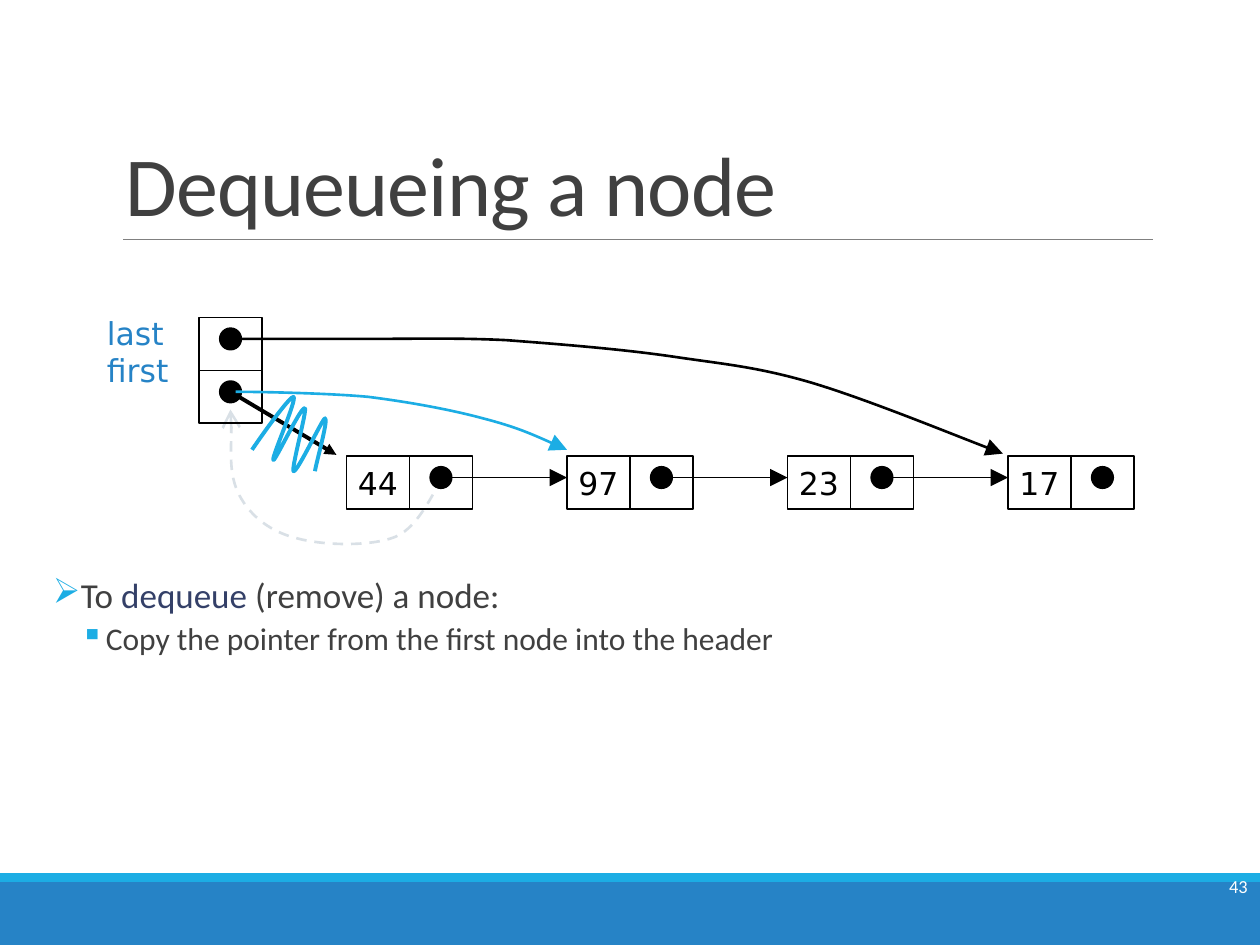
from dataclasses import dataclass
from typing import Optional

import pptx
import pptx.dml.color
import pptx.enum.dml
import pptx.enum.shapes
import pptx.enum.text
import pptx.oxml
import pptx.oxml.ns
import pptx.util

RGB = pptx.dml.color.RGBColor
SHAPE = pptx.enum.shapes.MSO_SHAPE
ALIGN = pptx.enum.text.PP_ALIGN
ANCHOR = pptx.enum.text.MSO_ANCHOR
qn = pptx.oxml.ns.qn

BLUE = RGB(0x26, 0x83, 0xC6)
SKY = RGB(0x1C, 0xAD, 0xE4)
GREY = RGB(0x80, 0x80, 0x80)
PALE = RGB(0xD9, 0xE0, 0xE6)
INK = RGB(0x40, 0x40, 0x40)
NAVY = RGB(0x34, 0x40, 0x68)
BLACK = RGB(0, 0, 0)
WHITE = RGB(0xFF, 0xFF, 0xFF)

COLUMNS = 100
CELL = pptx.util.Inches(10) // COLUMNS
BOX_W, BOX_H, DOT = 5, 4.2, 1.7
NODE_LEFT, NODE_TOP, NODE_PITCH = 27.5, 36.2, 17.5
POINTER_Y = 37.9
HEADER_LEFT, HEADER_TOP = 15.8, 25.2


@dataclass(frozen=True)
class Curve:
    points: tuple
    color: RGB
    width: float
    arrow: Optional[str] = None
    dashed: bool = False


@dataclass(frozen=True)
class Bullet:
    char: str
    margin: float
    indent: float
    before: float
    after: float
    size: float
    runs: tuple


RETURN_PATH = Curve(
    ((35.1, 38), (34.5, 38.8), (33.3, 41.8), (31.4, 42.6), (29.4, 43.4), (25.6, 43.3),
     (23.5, 42.7), (21.5, 42.2), (19.9, 41), (19, 39.3), (18.1, 37.6), (18.5, 33.9),
     (18.3, 32.5)), PALE, 1.5, "arrow", True)
LAST_PATH = Curve(
    ((18.3, 26.9), (21.5, 26.9), (25.5, 26.9), (29.2, 26.9), (32.8, 26.9), (36.2, 26.8),
     (40.2, 27), (44.2, 27.3), (49.3, 27.7), (53.4, 28.3), (57.4, 28.9), (60.1, 29.1),
     (64.5, 30.4), (68.8, 31.7), (76.4, 34.8), (79.6, 36)), BLACK, 1.5, "triangle")
NEW_FIRST_PATH = Curve(
    ((18.7, 31.1), (20.5, 31.1), (25.9, 31.2), (29.2, 31.5), (32.4, 31.9), (35.7, 32.5),
     (38.3, 33.2), (41, 33.9), (43, 34.8), (45, 35.7)), SKY, 1.5, "triangle")
SCRIBBLE = Curve(
    ((20, 35.7), (21.5, 33.5), (23.1, 31.4), (23.3, 31.5), (23.6, 31.7), (21.5, 36.4),
     (21.7, 36.5), (21.8, 36.7), (23.9, 32.2), (24.2, 32.4), (24.4, 32.5), (23.1, 37.2),
     (23.3, 37.4), (23.6, 37.5), (25.6, 33.2), (25.8, 33.2), (26.1, 33.2), (25.1, 36.7),
     (25, 37.4)), SKY, 2.25)
BULLETS = (
    Bullet("➢", 1, -1, 0, 2, 20,
           (("To ", INK), ("dequeue", NAVY), (" (remove) a node:", INK))),
    Bullet("▪", 4.2, -2, 2, 4, 18,
           (("Copy the pointer from the first node into the header", INK),)),
)


def cells(*values: float) -> list:
    return [pptx.util.Emu(round(v * CELL)) for v in values]


def apply(target, values: dict) -> None:
    for name, value in values.items():
        setattr(target, name, value)


def add_run(p, text: str, size: float, color: RGB, name: str = "Calibri"):
    r = p.add_run()
    r.text = text
    apply(r.font, {"size": pptx.util.Pt(size), "name": name})
    r.font.color.rgb = color
    return r


def style_line(s, color: RGB, width: float, arrow: Optional[str] = None,
               size: str = "lg", dashed: bool = False) -> None:
    s.line.color.rgb = color
    s.line.width = pptx.util.Pt(width)
    if dashed:
        s.line.dash_style = pptx.enum.dml.MSO_LINE.DASH
    if arrow:
        ln = s._element.spPr.find(qn("a:ln"))
        end = ln.makeelement(qn("a:tailEnd"), {"type": arrow, "w": size, "len": size})
        ln.append(end)


def add_block(slide, kind, box: tuple, fill: Optional[RGB] = None,
              line: Optional[RGB] = None):
    s = slide.shapes.add_shape(kind, *cells(*box))
    s.shadow.inherit = False
    if fill is None:
        s.fill.background()
    else:
        s.fill.solid()
        s.fill.fore_color.rgb = fill
    if line is None:
        s.line.fill.background()
    else:
        style_line(s, line, 1)
    return s


def add_box(slide, left: float, top: float):
    return add_block(slide, SHAPE.RECTANGLE, (left, top, BOX_W, BOX_H), line=BLACK)


def add_dot(slide, x: float, y: float) -> None:
    add_block(slide, SHAPE.OVAL, (x - DOT / 2, y - DOT / 2, DOT, DOT), BLACK, BLACK)


def add_line(slide, ends: tuple, color: RGB, width: float,
             arrow: Optional[str] = None, size: str = "lg") -> None:
    straight = pptx.enum.shapes.MSO_CONNECTOR.STRAIGHT
    s = slide.shapes.add_connector(straight, *cells(*ends))
    style_line(s, color, width, arrow, size)
    s._element.spPr.append(s._element.makeelement(qn("a:effectLst"), {}))


def add_curve(slide, curve: Curve) -> None:
    start, *rest = [cells(*pt) for pt in curve.points]
    builder = slide.shapes.build_freeform(*start)
    builder.add_line_segments(rest, close=False)
    s = builder.convert_to_shape()
    s.shadow.inherit = False
    s.fill.background()
    style_line(s, curve.color, curve.width, curve.arrow, dashed=curve.dashed)
    path = next(s._element.iter(qn("a:path")))
    segments = path.findall(qn("a:lnTo"))
    for i in range(0, len(segments), 3):
        bezier = path.makeelement(qn("a:cubicBezTo"), {})
        path.append(bezier)
        for segment in segments[i:i + 3]:
            bezier.append(segment[0])
            path.remove(segment)


def add_text(slide, box: tuple, **frame):
    tf = slide.shapes.add_textbox(*cells(*box)).text_frame
    apply(tf, {"word_wrap": True, **frame})
    return tf


def add_bullet(p, b: Bullet) -> None:
    apply(p, {"line_spacing": 0.9, "space_before": pptx.util.Pt(b.before),
              "space_after": pptx.util.Pt(b.after)})
    pPr = p._p.get_or_add_pPr()
    margin, indent = cells(b.margin, b.indent)
    pPr.set("marL", str(margin))
    pPr.set("indent", str(indent))
    color = pPr.makeelement(qn("a:buClr"), {})
    color.append(color.makeelement(qn("a:srgbClr"), {"val": str(SKY)}))
    pPr.append(color)
    pPr.append(pPr.makeelement(qn("a:buChar"), {"char": b.char}))
    for text, ink in b.runs:
        add_run(p, text, b.size, ink)


def add_node(slide, index: int, value: str, linked: bool) -> None:
    left = NODE_LEFT + index * NODE_PITCH
    add_box(slide, left + BOX_W, NODE_TOP)
    tf = add_box(slide, left, NODE_TOP).text_frame
    apply(tf, {"word_wrap": False, "vertical_anchor": ANCHOR.MIDDLE})
    p = tf.paragraphs[0]
    p.alignment = ALIGN.CENTER
    add_run(p, value, 18, BLACK, "DejaVu Sans")
    x = left + 1.5 * BOX_W
    add_dot(slide, x, POINTER_Y)
    if linked:
        add_line(slide, (x, POINTER_Y, left + NODE_PITCH, POINTER_Y), BLACK, 1, "triangle")


def main() -> None:
    prs = pptx.Presentation()
    prs.slide_width, prs.slide_height = cells(COLUMNS, 75)
    slide = prs.slides.add_slide(prs.slide_layouts[6])

    add_block(slide, SHAPE.RECTANGLE, (0, 70, 100, 5), BLUE)
    add_block(slide, SHAPE.RECTANGLE, (0, 69.3, 100, 0.7), SKY)
    add_line(slide, (9.8, 19, 91.5, 19), GREY, 0.5)

    p = add_text(slide, (9, 3.1, 82.5, 15.9), vertical_anchor=ANCHOR.BOTTOM).paragraphs[0]
    p.line_spacing = 0.85
    r = add_run(p, "Dequeueing a node", 48, INK)
    r._r.get_or_add_rPr().set("spc", "-50")

    tf = add_text(slide, (4.2, 45.4, 93.8, 9.6), margin_left=0, margin_right=0)
    for i, bullet in enumerate(BULLETS):
        add_bullet(tf.add_paragraph() if i else tf.paragraphs[0], bullet)

    p = add_text(slide, (72.9, 67.7, 27.1, 5.2), vertical_anchor=ANCHOR.MIDDLE).paragraphs[0]
    p.alignment = ALIGN.RIGHT
    add_run(p, "43", 10.5, WHITE)

    add_curve(slide, RETURN_PATH)
    values = ("44", "97", "23", "17")
    for i, value in enumerate(values):
        add_node(slide, i, value, i < len(values) - 1)

    p = add_text(slide, (7.5, 24.4, 10.8, 9)).paragraphs[0]
    add_run(p, "last", 18, BLUE, "DejaVu Sans")
    p.add_line_break()
    add_run(p, "first", 18, BLUE, "DejaVu Sans")
    for row in range(2):
        top = HEADER_TOP + row * BOX_H
        add_dot(slide, HEADER_LEFT + BOX_W / 2, top + 1.7)
        add_box(slide, HEADER_LEFT, top)
    add_line(slide, (18.3, 31.1, 26.7, 36.1), BLACK, 2.25, "triangle", "med")
    for curve in (LAST_PATH, NEW_FIRST_PATH, SCRIBBLE):
        add_curve(slide, curve)

    prs.save("out.pptx")


if __name__ == "__main__":
    main()
